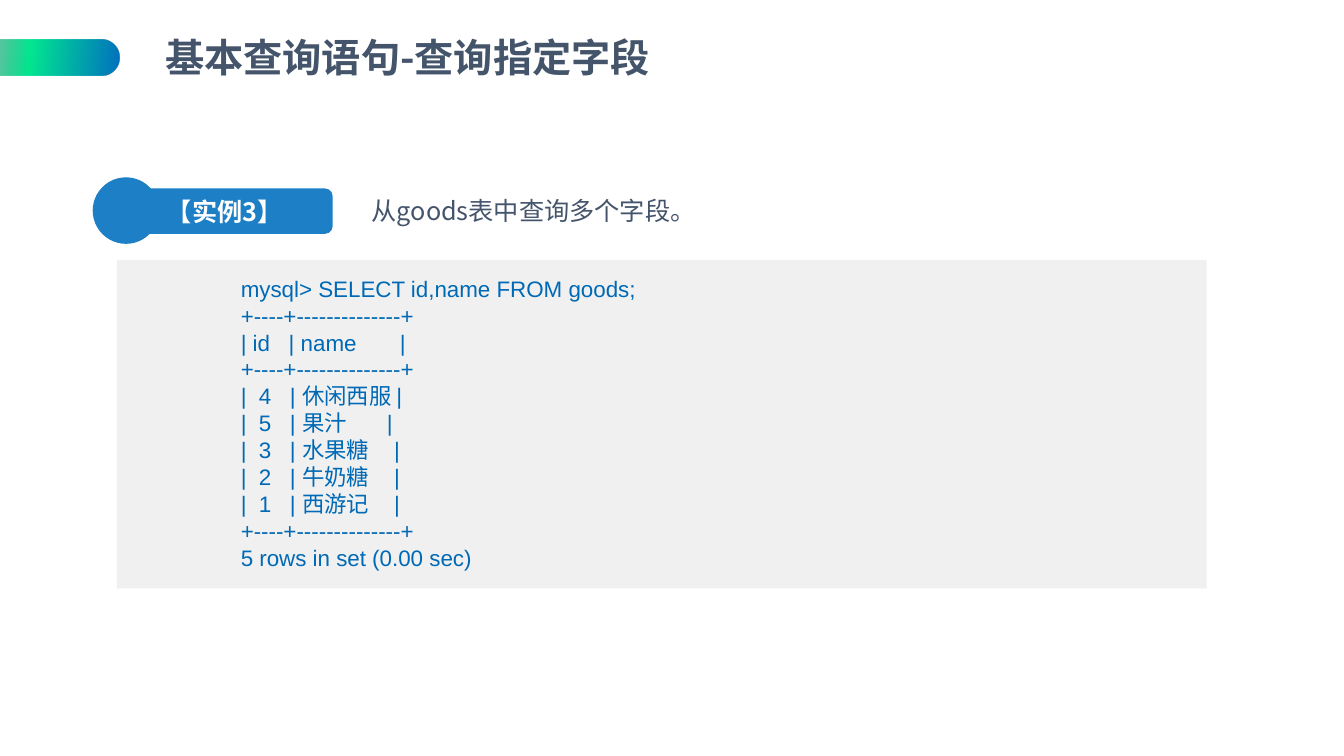
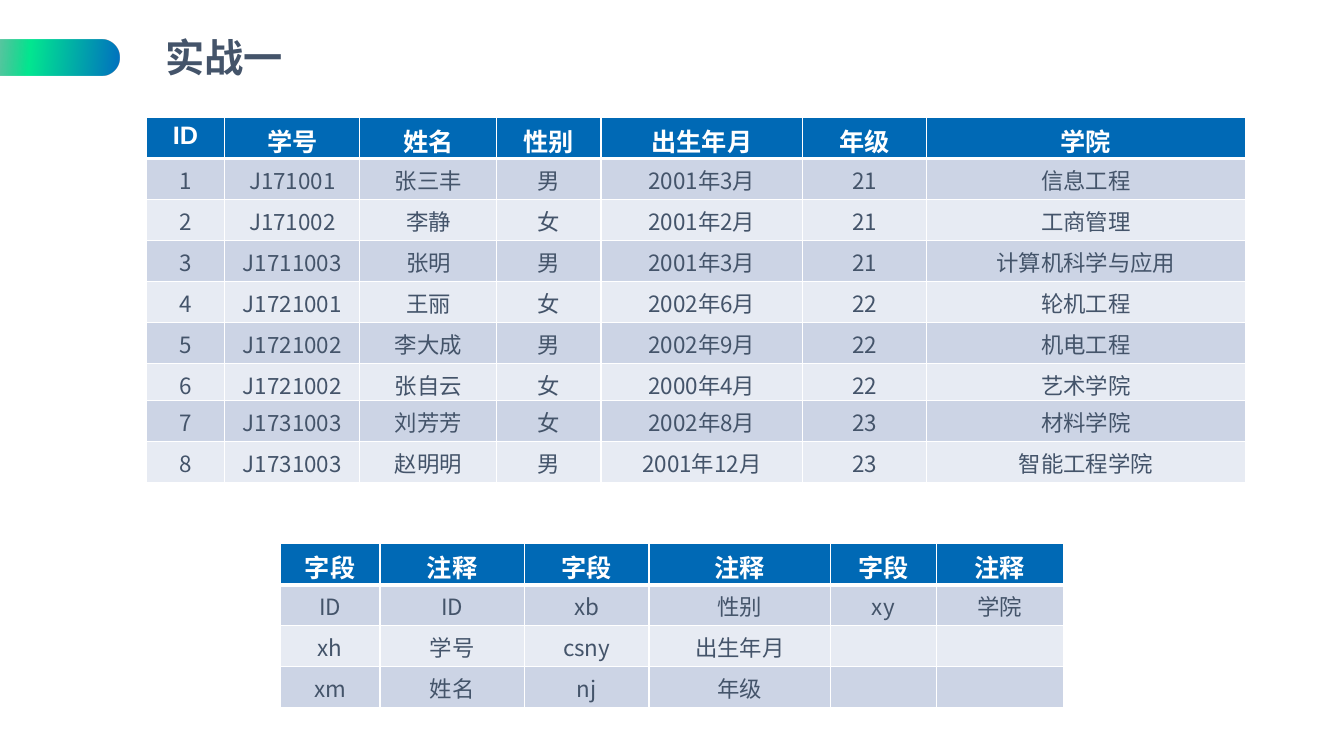
from dataclasses import dataclass
from typing import NamedTuple

from lxml.etree import SubElement
from pptx import Presentation
from pptx.dml.color import RGBColor
from pptx.enum.shapes import MSO_SHAPE
from pptx.enum.text import MSO_ANCHOR, MSO_AUTO_SIZE, PP_ALIGN
from pptx.oxml.ns import qn
from pptx.util import Emu, Inches, Pt

# The slide is a grid of 40 columns by 22.5 rows of square units
SLIDE_WIDTH = Inches(13.33)
SLIDE_HEIGHT = Inches(7.5)
COLUMNS = 40
UNIT = SLIDE_WIDTH / COLUMNS


@dataclass(frozen=True)
class Theme:
    ink: str = "44546A"
    blue: str = "0069B5"
    badge: str = "1D7FC6"
    panel: str = "F0F0F0"
    white: str = "FFFFFF"
    bands: tuple[str, str] = ("CCD4E5", "E7EBF3")
    # Position in percent, colour, opacity in percent
    pill: tuple[tuple[int, str, int], ...] = (
        (0, "272D3D", 0), (52, "03E790", 100), (100, "0070C0", 100))
    latin: str = "Arial"
    chinese: str = "Noto Sans CJK SC"
    title_size: int = 28
    lead_size: int = 18
    body_size: int = 16
    code_leading: float = 19.2


THEME = Theme()


class Box(NamedTuple):
    """A place on the grid, in units."""
    left: float
    top: float
    width: float
    height: float


class TextStyle(NamedTuple):
    size: int
    color: str
    font: str = THEME.chinese
    bold: bool = False


class TableSpec(NamedTuple):
    left: float
    top: float
    columns: list[float]
    heights: list[float]
    rows: list[list[str]]


TITLE = TextStyle(THEME.title_size, THEME.ink, bold=True)
BADGE = TextStyle(THEME.lead_size, THEME.white, bold=True)
TASK = TextStyle(THEME.lead_size, THEME.ink)
CODE = TextStyle(THEME.body_size, THEME.blue, THEME.latin)
HEADER = TextStyle(THEME.lead_size, THEME.white, THEME.latin, True)
BODY = TextStyle(THEME.body_size, THEME.ink)

ROW = 1.22
SHORT_ROW = 1.12

QUERY_OUTPUT = [
    "mysql> SELECT id,name FROM goods;",
    "+----+--------------+",
    "| id   | name       |",
    "+----+--------------+",
    "|  4   | 休闲西服 |",
    "|  5   | 果汁        |",
    "|  3   | 水果糖     |",
    "|  2   | 牛奶糖     |",
    "|  1   | 西游记     |",
    "+----+--------------+",
    "5 rows in set (0.00 sec)",
]

STUDENTS = TableSpec(
    4.35, 3.48,
    [2.34, 4.02, 4.08, 3.1, 6, 3.68, 9.5],
    [ROW] * 6 + [SHORT_ROW] + [ROW] * 2,
    [
        ["ID", "学号", "姓名", "性别", "出生年月", "年级", "学院"],
        ["1", "J171001", "张三丰", "男", "2001年3月", "21", "信息工程"],
        ["2", "J171002", "李静", "女", "2001年2月", "21", "工商管理"],
        ["3", "J1711003", "张明", "男", "2001年3月", "21", "计算机科学与应用"],
        ["4", "J1721001", "王丽", "女", "2002年6月", "22", "轮机工程"],
        ["5", "J1721002", "李大成", "男", "2002年9月", "22", "机电工程"],
        ["6", "J1721002", "张自云", "女", "2000年4月", "22", "艺术学院"],
        ["7", "J1731003", "刘芳芳", "女", "2002年8月", "23", "材料学院"],
        ["8", "J1731003", "赵明明", "男", "2001年12月", "23", "智能工程学院"],
    ],
)

FIELDS = TableSpec(
    8.34, 16.17,
    [2.97, 4.29, 3.72, 5.4, 3.15, 3.78],
    [ROW] * 4,
    [
        ["字段", "注释"] * 3,
        ["ID", "ID", "xb", "性别", "xy", "学院"],
        ["xh", "学号", "csny", "出生年月", "", ""],
        ["xm", "姓名", "nj", "年级", "", ""],
    ],
)


def units(count: float) -> Emu:
    return Emu(round(count * UNIT))


def place(box: Box) -> list[Emu]:
    return [units(length) for length in box]


def add_run(paragraph, text: str, style: TextStyle) -> None:
    run = paragraph.add_run()
    run.text = text
    run.font.size = Pt(style.size)
    run.font.bold = style.bold
    run.font.color.rgb = RGBColor.from_string(style.color)
    run.font.name = style.font
    # Chinese characters take the East Asian typeface
    SubElement(run._r.get_or_add_rPr(), qn("a:ea"), typeface=THEME.chinese)


def add_filled(shapes, kind: MSO_SHAPE, box: Box, color: str):
    shape = shapes.add_shape(kind, *place(box))
    shape.shadow.inherit = False
    shape.line.fill.background()
    shape.fill.solid()
    shape.fill.fore_color.rgb = RGBColor.from_string(color)
    return shape


def add_text(slide, box: Box, lines: list[str], style: TextStyle,
             leading: float | None = None) -> None:
    frame = slide.shapes.add_textbox(*place(box)).text_frame
    frame.word_wrap = True
    for index, line in enumerate(lines):
        paragraph = frame.add_paragraph() if index else frame.paragraphs[0]
        if leading:
            paragraph.line_spacing = Pt(leading)
        add_run(paragraph, line, style)


def add_pill(slide) -> None:
    """Gradient pill that bleeds off the left edge beside the title."""
    pill = add_filled(slide.shapes, MSO_SHAPE.ROUNDED_RECTANGLE,
                      Box(-2.04, 1.17, 5.58, 1.08), THEME.blue)
    pill.adjustments[0] = 0.5
    pill.fill.gradient()
    pill.fill.gradient_angle = 355
    stops = pill.element.spPr.find(qn("a:gradFill")).find(qn("a:gsLst"))
    for stop in list(stops):
        stops.remove(stop)
    for position, color, opacity in THEME.pill:
        stop = SubElement(stops, qn("a:gs"), pos=str(position * 1000))
        tint = SubElement(stop, qn("a:srgbClr"), val=color)
        if opacity < 100:
            SubElement(tint, qn("a:alpha"), val=str(opacity * 1000))


def add_titled_slide(deck, title: str):
    slide = deck.slides.add_slide(deck.slide_layouts.get_by_name("Title Only"))
    add_pill(slide)
    heading = slide.shapes.title
    heading.left, heading.top, heading.width, heading.height = place(
        Box(4.62, 0.99, 27.51, 1.56))
    frame = heading.text_frame
    frame.auto_size = MSO_AUTO_SIZE.NONE
    frame.vertical_anchor = MSO_ANCHOR.MIDDLE
    paragraph = frame.paragraphs[0]
    paragraph.alignment = PP_ALIGN.LEFT
    paragraph.line_spacing = 0.9
    add_run(paragraph, title, TITLE)
    return slide


def set_border(cell, side: str, points: int) -> None:
    line = SubElement(cell._tc.get_or_add_tcPr(), qn(f"a:ln{side}"),
                      w=str(Pt(points)))
    fill = SubElement(line, qn("a:solidFill"))
    SubElement(fill, qn("a:srgbClr"), val=THEME.white)


def format_cell(cell, text: str, row: int) -> None:
    # The rule under the header is thicker
    widths = {"L": 1, "R": 1, "T": 3 if row == 1 else 1, "B": 1 if row else 3}
    for side, points in widths.items():
        set_border(cell, side, points)
    cell.fill.solid()
    color = THEME.bands[(row - 1) % 2] if row else THEME.blue
    cell.fill.fore_color.rgb = RGBColor.from_string(color)
    cell.margin_bottom = 0
    if text:
        paragraph = cell.text_frame.paragraphs[0]
        paragraph.alignment = PP_ALIGN.CENTER
        add_run(paragraph, text, BODY if row else HEADER)


def add_data_table(slide, spec: TableSpec) -> None:
    box = Box(spec.left, spec.top, sum(spec.columns), sum(spec.heights))
    table = slide.shapes.add_table(len(spec.rows), len(spec.columns),
                                   *place(box)).table
    table.horz_banding = False
    for column, width in zip(table.columns, spec.columns):
        column.width = units(width)
    for row, height in zip(table.rows, spec.heights):
        row.height = units(height)
    for row, texts in enumerate(spec.rows):
        for column, text in enumerate(texts):
            format_cell(table.cell(row, column), text, row)


def add_example_badge(slide, label: str) -> None:
    group = slide.shapes.add_group_shape()
    add_filled(group.shapes, MSO_SHAPE.OVAL,
               Box(2.76, 5.28, 1.98, 1.98), THEME.badge)
    plate = add_filled(group.shapes, MSO_SHAPE.ROUNDED_RECTANGLE,
                       Box(3.48, 5.61, 6.42, 1.35), THEME.badge)
    plate.text_frame.vertical_anchor = MSO_ANCHOR.MIDDLE
    paragraph = plate.text_frame.paragraphs[0]
    paragraph.alignment = PP_ALIGN.CENTER
    add_run(paragraph, label, BADGE)


def build_query_slide(deck) -> None:
    slide = add_titled_slide(deck, "基本查询语句-查询指定字段")
    # Task line
    add_example_badge(slide, "【实例3】")
    add_text(slide, Box(10.77, 5.67, 25.53, 1.2),
             ["从goods表中查询多个字段。"], TASK)
    # Query and its output
    add_filled(slide.shapes, MSO_SHAPE.RECTANGLE,
               Box(3.48, 7.74, 32.43, 9.78), THEME.panel)
    add_text(slide, Box(6.87, 8.04, 28.14, 9.18), QUERY_OUTPUT, CODE,
             THEME.code_leading)


def build_practice_slide(deck) -> None:
    slide = add_titled_slide(deck, "实战一")
    for spec in (STUDENTS, FIELDS):
        add_data_table(slide, spec)


def main() -> None:
    deck = Presentation()
    deck.slide_width, deck.slide_height = SLIDE_WIDTH, SLIDE_HEIGHT
    build_query_slide(deck)
    build_practice_slide(deck)
    deck.save("out.pptx")


if __name__ == "__main__":
    main()
